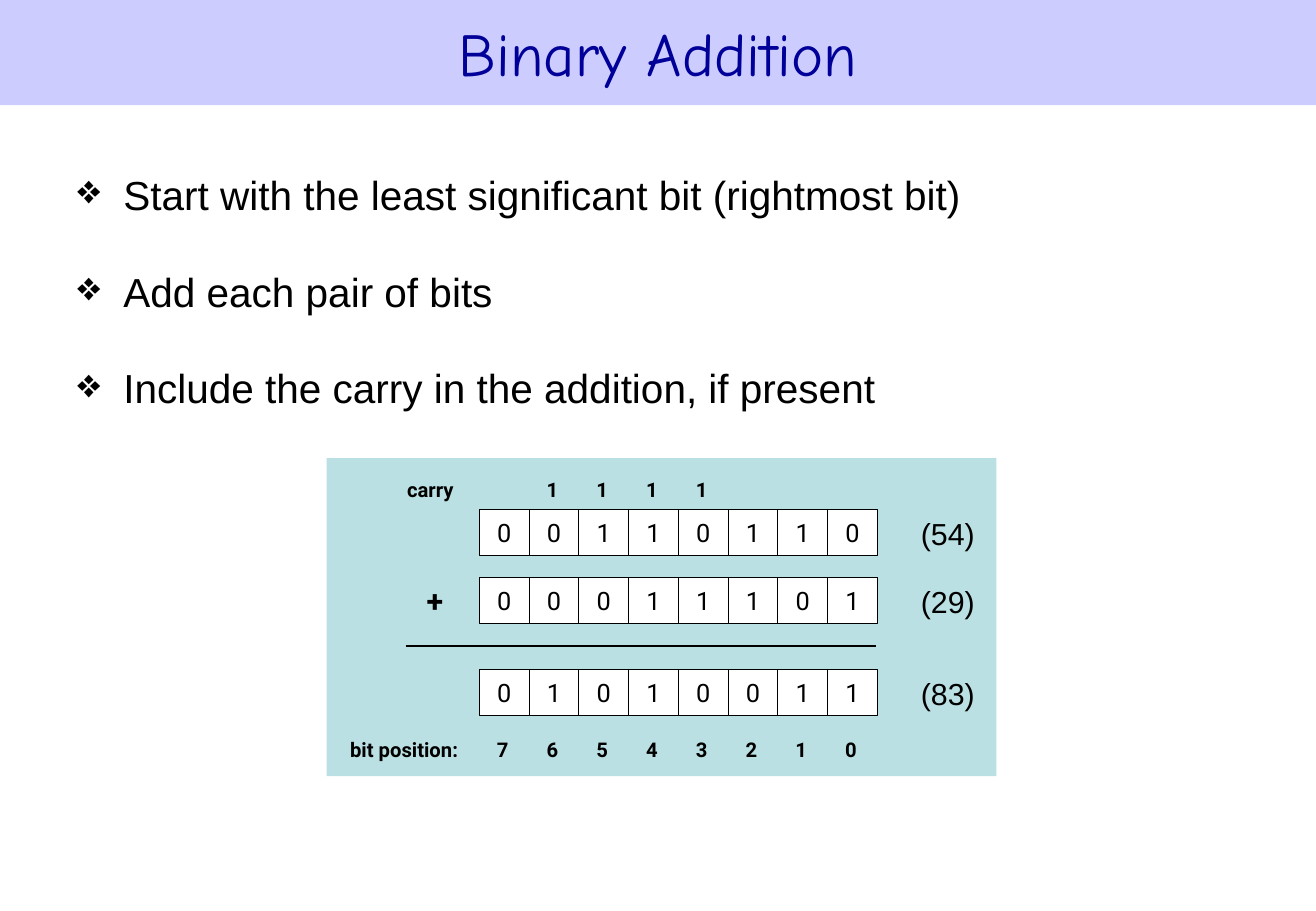
from dataclasses import dataclass
from typing import Any

from lxml import etree
from pptx import Presentation
from pptx.dml.color import RGBColor
from pptx.enum import shapes, text
from pptx.oxml import ns
from pptx.util import Cm, Pt


@dataclass(frozen=True)
class Theme:
    ink: str = "000000"
    paper: str = "FFFFFF"
    banner: str = "CCCCFF"
    heading: str = "000099"
    panel: str = "BBE0E3"
    heading_font: str = "Comic Neue"
    body_font: str = "Arial"
    digit_font: str = "Roboto"
    heading_size: float = 36
    body_size: float = 24
    value_size: float = 18
    bit_size: float = 15
    label_size: float = 12
    cell_line: float = 0.38
    rule_line: float = 1.13


@dataclass(frozen=True)
class Box:
    left: float
    top: float
    width: float
    height: float

    def lengths(self) -> tuple[Cm, ...]:
        return Cm(self.left), Cm(self.top), Cm(self.width), Cm(self.height)


@dataclass(frozen=True)
class Style:
    font: str
    size: float
    color: str = "000000"
    bold: bool = False


@dataclass(frozen=True)
class Label:
    wording: str
    box: Box
    style: Style


@dataclass(frozen=True)
class BinaryNumber:
    bits: str
    top: float


THEME = Theme()
HEADING = Style(THEME.heading_font, THEME.heading_size, THEME.heading)
BODY = Style(THEME.body_font, THEME.body_size, THEME.ink)
VALUE = Style(THEME.body_font, THEME.value_size, THEME.ink)
BIT = Style(THEME.digit_font, THEME.bit_size, THEME.ink)
SMALL = Style(THEME.digit_font, THEME.label_size, THEME.ink, True)
SIGN = Style(THEME.digit_font, THEME.value_size, THEME.ink, True)

BITS = 8
CELL_LEFT, CELL_WIDTH, CELL_HEIGHT = 10.02, 1.04, 0.96
DIGIT_LEFT, CARRY_TOP, POSITION_TOP = 10.39, 9.98, 15.42
VALUE_LEFT, VALUE_DROP = 19.25, 0.12
NO_MARGINS = dict.fromkeys(
    ("margin_left", "margin_top", "margin_right", "margin_bottom"), Cm(0))
CENTERED = {"alignment": text.PP_ALIGN.CENTER}

STEPS = (
    "Start with the least significant bit (rightmost bit)",
    "Add each pair of bits",
    "Include the carry in the addition, if present",
)
NUMBERS = (
    BinaryNumber("00110110", 10.65),
    BinaryNumber("00011101", 12.08),
    BinaryNumber("01010011", 14.0),
)


def assign(target: Any, formats: dict[str, Any]) -> None:
    for name, value in formats.items():
        setattr(target, name, value)


def write(paragraph: Any, wording: str, style: Style) -> None:
    run = paragraph.add_run()
    run.text = wording
    assign(run.font, {"name": style.font, "size": Pt(style.size), "bold": style.bold})
    run.font.color.rgb = RGBColor.from_string(style.color)


def draw_rectangle(slide: Any, box: Box, fill: str, outlined: bool = False) -> Any:
    rectangle = slide.shapes.add_shape(shapes.MSO_SHAPE.RECTANGLE, *box.lengths())
    rectangle.shadow.inherit = False
    rectangle.fill.solid()
    rectangle.fill.fore_color.rgb = RGBColor.from_string(fill)
    if outlined:
        rectangle.line.color.rgb = RGBColor.from_string(THEME.ink)
        rectangle.line.width = Pt(THEME.cell_line)
    else:
        rectangle.line.fill.background()
    return rectangle


def fill_center(rectangle: Any, wording: str, style: Style) -> None:
    frame = rectangle.text_frame
    assign(frame, NO_MARGINS | {"vertical_anchor": text.MSO_ANCHOR.MIDDLE})
    assign(frame.paragraphs[0], CENTERED)
    write(frame.paragraphs[0], wording, style)


def draw_label(slide: Any, label: Label) -> None:
    frame = slide.shapes.add_textbox(*label.box.lengths()).text_frame
    assign(frame, NO_MARGINS | {
        "word_wrap": False, "auto_size": text.MSO_AUTO_SIZE.SHAPE_TO_FIT_TEXT})
    write(frame.paragraphs[0], label.wording, label.style)


def draw_column_digit(slide: Any, column: int, top: float, digit: int) -> None:
    box = Box(DIGIT_LEFT + column * CELL_WIDTH, top, 0.23, 0.51)
    draw_label(slide, Label(str(digit), box, SMALL))


def draw_number(slide: Any, number: BinaryNumber) -> None:
    for column, bit in enumerate(number.bits):
        box = Box(CELL_LEFT + column * CELL_WIDTH, number.top, CELL_WIDTH, CELL_HEIGHT)
        fill_center(draw_rectangle(slide, box, THEME.paper, True), bit, BIT)
    value_box = Box(VALUE_LEFT, number.top + VALUE_DROP, 1.14, 0.76)
    draw_label(slide, Label(f"({int(number.bits, 2)})", value_box, VALUE))


def draw_steps(slide: Any, box: Box) -> None:
    frame = slide.shapes.add_textbox(*box.lengths()).text_frame
    frame.word_wrap = True
    for index, step in enumerate(STEPS):
        paragraph = frame.add_paragraph() if index else frame.paragraphs[0]
        assign(paragraph, {"line_spacing": 1.3, "space_before": Pt(20)})
        write(paragraph, step, BODY)
        properties = paragraph._p.get_or_add_pPr()
        properties.set("marL", str(Cm(0.96)))
        properties.set("indent", str(-Cm(0.96)))
        etree.SubElement(properties, ns.qn("a:buChar"), char="❖")


def draw_sum_rule(slide: Any, left: float, right: float, top: float) -> None:
    rule = slide.shapes.add_connector(
        shapes.MSO_CONNECTOR.STRAIGHT, Cm(left), Cm(top), Cm(right), Cm(top))
    rule.line.color.rgb = RGBColor.from_string(THEME.ink)
    rule.line.width = Pt(THEME.rule_line)
    etree.SubElement(rule._element.spPr, ns.qn("a:effectLst"))


def main() -> None:
    deck = Presentation()
    assign(deck, {"slide_width": Cm(27.51), "slide_height": Cm(19.05)})
    slide = deck.slides.add_slide(deck.slide_layouts[6])

    banner = draw_rectangle(slide, Box(0, 0, 27.51, 2.2), THEME.banner)
    fill_center(banner, "Binary Addition", HEADING)
    draw_steps(slide, Box(1.37, 3.12, 24.77, 5.44))

    draw_rectangle(slide, Box(6.83, 9.58, 14, 6.65), THEME.panel)
    for number in NUMBERS:
        draw_number(slide, number)
    draw_sum_rule(slide, 8.48, 18.31, 13.51)
    for column in range(1, 5):
        draw_column_digit(slide, column, CARRY_TOP, 1)
    for column in range(BITS):
        draw_column_digit(slide, column, POSITION_TOP, BITS - 1 - column)
    for label in (
        Label("carry", Box(8.51, CARRY_TOP, 1.4, 0.51), SMALL),
        Label("+", Box(8.92, 12.17, 0.38, 0.76), SIGN),
        Label("bit position:", Box(7.32, POSITION_TOP, 2.46, 0.51), SMALL),
    ):
        draw_label(slide, label)

    deck.save("out.pptx")


main()
